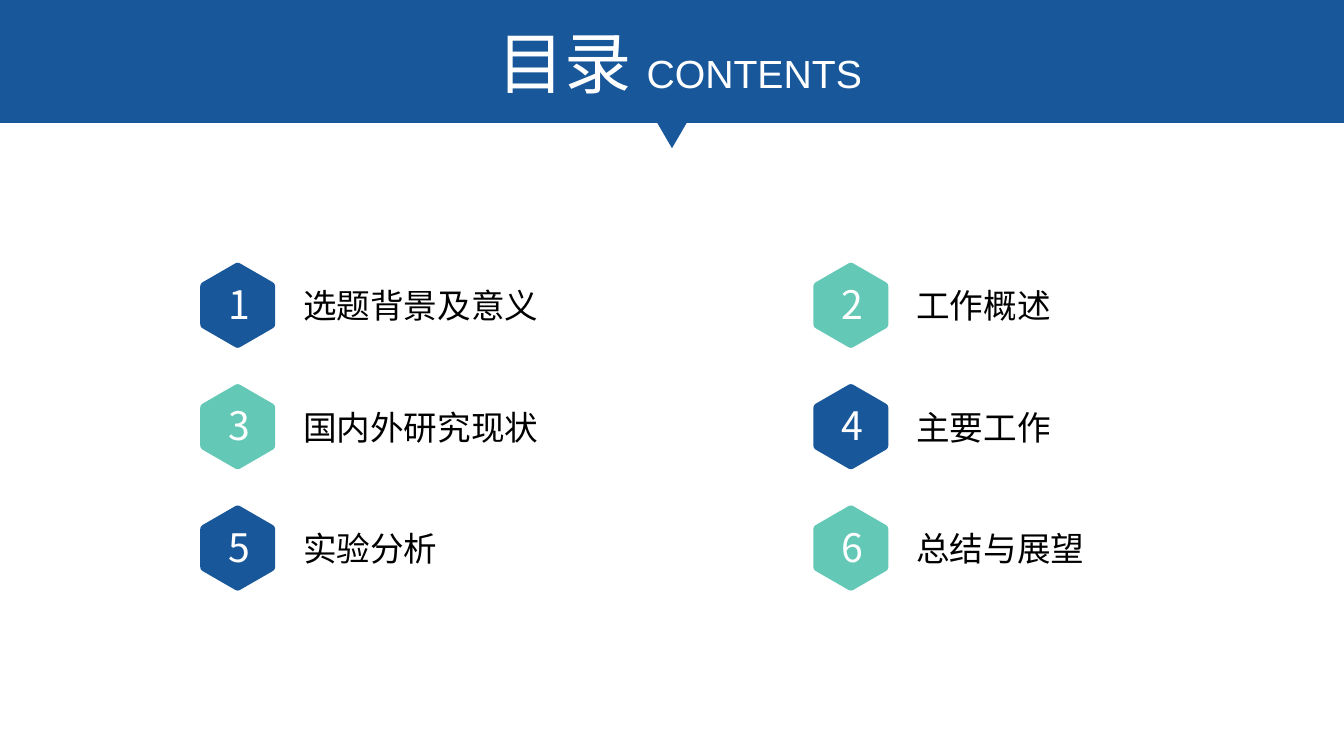
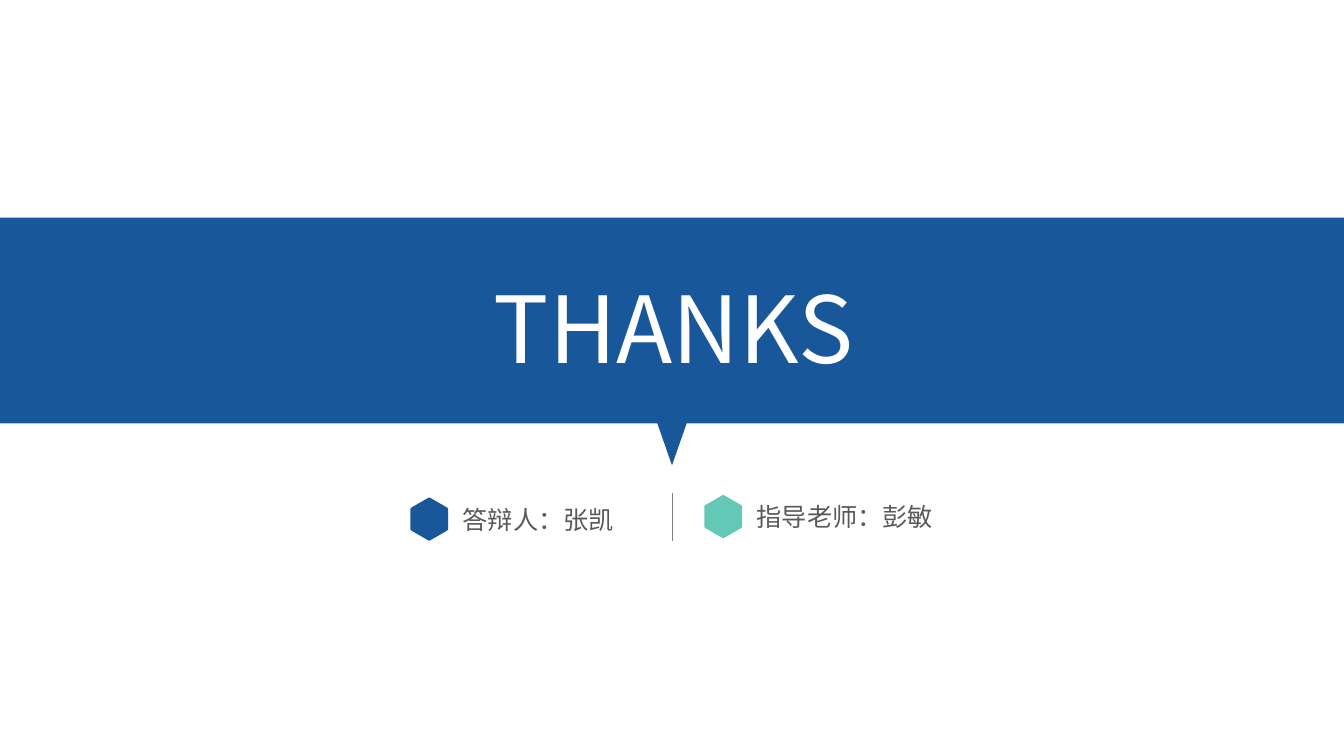
import itertools
import math

import lxml.etree
import pptx
import pptx.dml.color
import pptx.enum.shapes
import pptx.enum.text
import pptx.oxml.ns
import pptx.util

BLUE = pptx.dml.color.RGBColor(0x18, 0x57, 0x9A)
TEAL = pptx.dml.color.RGBColor(0x63, 0xC9, 0xB6)
WHITE = pptx.dml.color.RGBColor(0xFF, 0xFF, 0xFF)
BLACK = pptx.dml.color.RGBColor(0x00, 0x00, 0x00)
DARK_GREY = pptx.dml.color.RGBColor(0x59, 0x59, 0x59)
GREY = pptx.dml.color.RGBColor(0x80, 0x80, 0x80)
SANS = "Noto Sans CJK SC"
CENTER = pptx.enum.text.PP_ALIGN.CENTER
LEFT = pptx.enum.text.PP_ALIGN.LEFT
COLUMNS, ROWS = 32, 18
CORNER = 0.07

deck = pptx.Presentation()
deck.slide_width = pptx.util.Emu(12192000)
deck.slide_height = pptx.util.Emu(6858000)
CELL = deck.slide_width // COLUMNS
MIDDLE = COLUMNS / 2


def draw_outline(slide, points, color):
    corners = [(round(x * CELL), round(y * CELL)) for x, y in points]
    builder = slide.shapes.build_freeform(*corners[0])
    builder.add_line_segments(corners[1:], close=True)
    outline = builder.convert_to_shape()
    outline.fill.solid()
    outline.fill.fore_color.rgb = color
    outline.line.fill.background()
    outline.shadow.inherit = False


def place_text(holder, area, runs, size, color, align, font=SANS):
    holder.left, holder.top, holder.width, holder.height = [round(n * CELL) for n in area]
    frame = holder.text_frame
    frame.word_wrap = True
    frame.auto_size = pptx.enum.text.MSO_AUTO_SIZE.NONE
    frame.vertical_anchor = pptx.enum.text.MSO_ANCHOR.TOP
    paragraph = frame.paragraphs[0]
    paragraph.alignment = align
    for words in runs:
        paragraph.add_run().text = words
    paragraph.font.size = pptx.util.Pt(size)
    paragraph.font.color.rgb = color
    paragraph.font.name = font
    defaults = paragraph._p.pPr.find(pptx.oxml.ns.qn("a:defRPr"))
    lxml.etree.SubElement(defaults, pptx.oxml.ns.qn("a:ea"), typeface=SANS)
    return paragraph


hexagon = [(math.sin(k * math.pi / 3), -math.cos(k * math.pi / 3)) for k in range(6)]
badge = []
for k, (x, y) in enumerate(hexagon):
    (xa, ya), (xb, yb) = hexagon[k - 1], hexagon[(k + 1) % 6]
    for t in (0, 0.25, 0.5, 0.75, 1):
        before, after = CORNER * (1 - t) ** 2, CORNER * t ** 2
        badge.append((x + before * (xa - x) + after * (xb - x),
                      y + before * (ya - y) + after * (yb - y)))

bands = [(0, 2.93, 3.53), (5.18, 10.08, 11.08)]
pages = []
for top, bottom, tip in bands:
    page = deck.slides.add_slide(deck.slide_layouts[5])
    draw_outline(page, [(0, top), (COLUMNS, top), (COLUMNS, bottom), (MIDDLE + 0.35, bottom),
                        (MIDDLE, tip), (MIDDLE - 0.35, bottom), (0, bottom)], BLUE)
    tree = page.shapes._spTree
    tree.append(page.shapes.title._element)
    pages.append(page)
contents, thanks = pages

heading = place_text(contents.shapes.title, (6, 0.38, 20, 2.18), [" 目录 ", "CONTENTS"],
                     48, WHITE, CENTER, "Arial")
heading.runs[1].font.size = pptx.util.Pt(28)

chapters = ["选题背景及意义", "工作概述", "国内外研究现状", "主要工作", "实验分析", "总结与展望"]
badge_colors = [BLUE, TEAL, TEAL, BLUE, BLUE, TEAL]
spots = itertools.product(range(3), range(2))
for number, (chapter, color, (row, column)) in enumerate(zip(chapters, badge_colors, spots), 1):
    x, y = 5.66 + 14.6 * column, 7.27 + 2.89 * row
    draw_outline(contents, [(x + 1.03 * dx, y + 1.03 * dy) for dx, dy in badge], color)
    place_text(contents.shapes.add_textbox(0, 0, 0, 0), (x - 0.45, y - 0.72, 0.9, 1.36),
               [str(number)], 28, WHITE, CENTER)
    place_text(contents.shapes.add_textbox(0, 0, 0, 0), (x + 1.32, y - 0.6, 6.77, 1.2),
               [chapter], 24, BLACK, LEFT)

place_text(thanks.shapes.title, (0.04, 6.34, COLUMNS, 2.9), ["THANKS"], 66, WHITE, CENTER)

people = [("答辩人：张凯", BLUE, 10.22, 12.36), ("指导老师：彭敏", TEAL, 17.22, 12.3)]
for person, color, x, y in people:
    draw_outline(thanks, [(x + 0.52 * dx, y + 0.52 * dy) for dx, dy in badge], color)
    place_text(thanks.shapes.add_textbox(0, 0, 0, 0), (x + 0.56, y - 0.47, 5.3, 0.96),
               [person], 18, DARK_GREY, LEFT)

divider = thanks.shapes.add_connector(
    pptx.enum.shapes.MSO_CONNECTOR.STRAIGHT,
    *[round(n * CELL) for n in (MIDDLE, 11.74, MIDDLE, 12.89)])
divider.line.color.rgb = GREY
divider.line.width = pptx.util.Pt(0.5)
lxml.etree.SubElement(divider._element.spPr, pptx.oxml.ns.qn("a:effectLst"))

deck.save("out.pptx")
